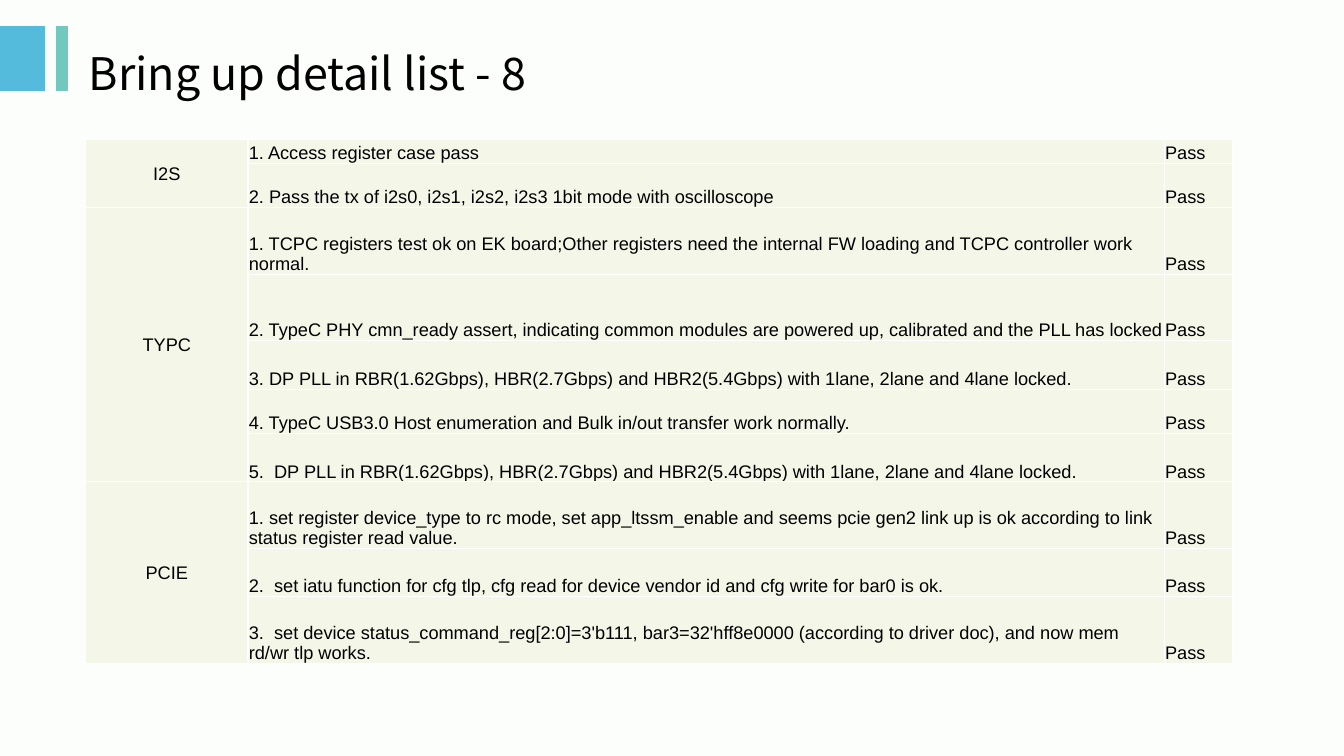
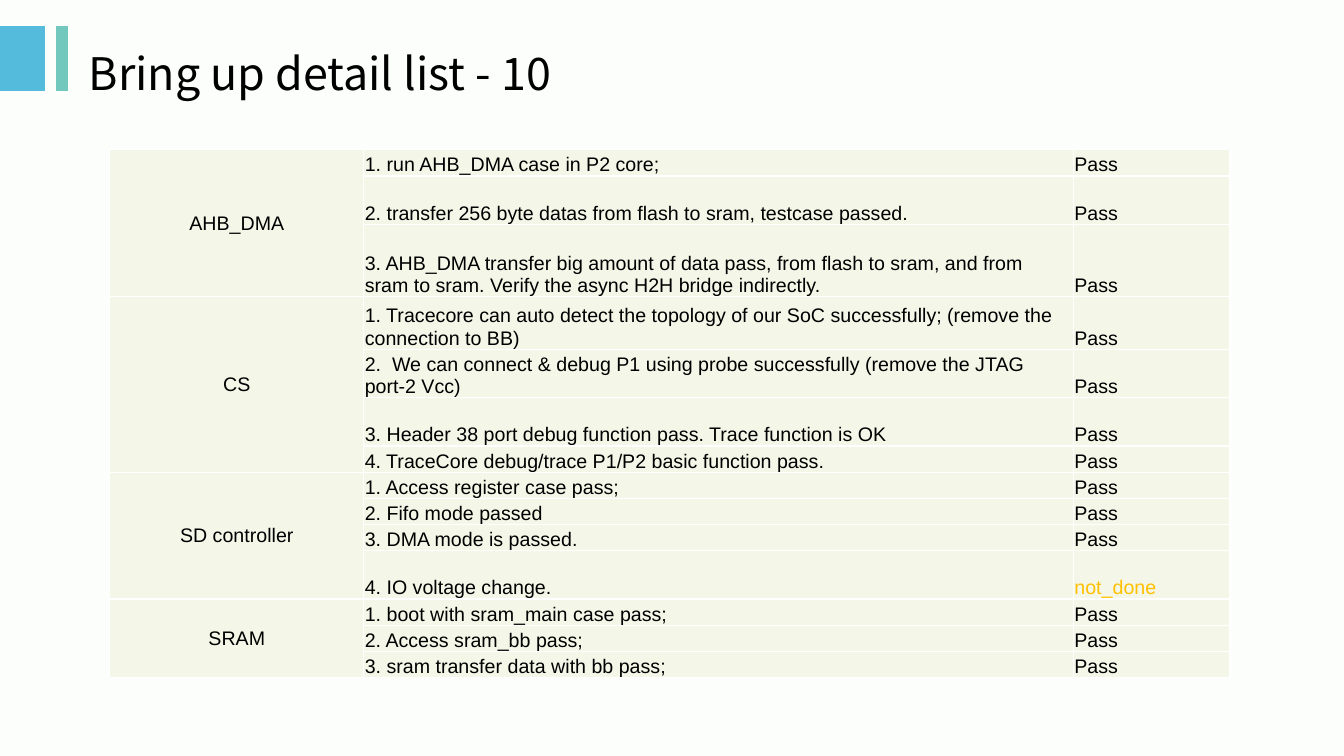
from lxml import etree
from pptx import Presentation
from pptx.dml.color import RGBColor
from pptx.enum.shapes import MSO_SHAPE
from pptx.enum.text import MSO_ANCHOR, PP_ALIGN
from pptx.oxml.ns import qn
from pptx.util import Pt

RECTANGLE = MSO_SHAPE.RECTANGLE
MIDDLE, BOTTOM = MSO_ANCHOR.MIDDLE, MSO_ANCHOR.BOTTOM
LEFT, CENTER = PP_ALIGN.LEFT, PP_ALIGN.CENTER
BLANK_LAYOUT = 6

COLORS = {
    "background": "FCFEFC",
    "blue": "54BBDC",
    "teal": "73C8BE",
    "cell": "F4F7E8",
    "border": "FFFFFF",
    "text": "000000",
    "open": "FFC000",
}
TITLE_FONT, BODY_FONT = "Noto Sans CJK SC", "Arial"
TITLE_BOX = (56.2, 18.7, 855.4, 66.2)
MARKERS = [("blue", (0, 18.7, 31.7, 46.1)), ("teal", (40.3, 18.7, 7.9, 46.1))]
PASS, NOT_DONE = "Pass", "not_done"
STATUS_COLORS = {PASS: "text", NOT_DONE: "open"}

PAGES = [
    {
        "title": "Bring up detail list - 8",
        "origin": (61.2, 99.4),
        "columns": (115.9, 654.5, 49),
        "size": 13,
        "groups": [
            ("I2S", [
                (17.3, "1. Access register case pass", PASS),
                (31.7, "2. Pass the tx of i2s0, i2s1, i2s2, i2s3 1bit mode with oscilloscope", PASS),
            ]),
            ("TYPC", [
                (47.5, "1. TCPC registers test ok on EK board;Other registers need the internal "
                       "FW loading and TCPC controller work normal.", PASS),
                (47.5, "2. TypeC PHY cmn_ready assert, indicating common modules are powered up, "
                       "calibrated and the PLL has locked", PASS),
                (34.6, "3. DP PLL in RBR(1.62Gbps), HBR(2.7Gbps) and HBR2(5.4Gbps) with 1lane, "
                       "2lane and 4lane locked.", PASS),
                (31.7, "4. TypeC USB3.0 Host enumeration and Bulk in/out transfer work normally.", PASS),
                (34.6, "5.  DP PLL in RBR(1.62Gbps), HBR(2.7Gbps) and HBR2(5.4Gbps) with 1lane, "
                       "2lane and 4lane locked.", PASS),
            ]),
            ("PCIE", [
                (47.5, "1. set register device_type to rc mode, set app_ltssm_enable and seems pcie "
                       "gen2 link up is ok according to link status register read value.", PASS),
                (34.6, "2.  set iatu function for cfg tlp, cfg read for device vendor id and "
                       "cfg write for bar0 is ok.", PASS),
                (47.5, "3.  set device status_command_reg[2:0]=3'b111, bar3=32'hff8e0000 "
                       "(according to driver doc), and now mem rd/wr tlp works.", PASS),
            ]),
        ],
    },
    {
        "title": "Bring up detail list - 10",
        "origin": (78.5, 107),
        "columns": (181.4, 506.9, 111.6),
        "size": 14,
        "groups": [
            ("AHB_DMA", [
                (18.7, "1. run AHB_DMA case in P2 core;", PASS),
                (34.6, "2. transfer 256 byte datas from flash to sram, testcase passed.", PASS),
                (51.8, "3. AHB_DMA transfer big amount of data pass, from flash to sram, and from "
                       "sram to sram. Verify the async H2H bridge indirectly.", PASS),
            ]),
            ("CS", [
                (37.4, "1. Tracecore can auto detect the topology of our SoC successfully; "
                       "(remove the connection to BB)", PASS),
                (34.6, "2.  We can connect & debug P1 using probe successfully "
                       "(remove the JTAG port-2 Vcc)", PASS),
                (34.6, "3. Header 38 port debug function pass. Trace function is OK", PASS),
                (18.7, "4. TraceCore debug/trace P1/P2 basic function pass.", PASS),
            ]),
            ("SD controller", [
                (18.7, "1. Access register case pass;", PASS),
                (18.7, "2. Fifo mode passed", PASS),
                (18.7, "3. DMA mode is passed.", PASS),
                (34.6, "4. IO voltage change.", NOT_DONE),
            ]),
            ("SRAM", [
                (18.7, "1. boot with sram_main case pass;", PASS),
                (18.7, "2. Access sram_bb pass;", PASS),
                (18.7, "3. sram transfer data with bb pass;", PASS),
            ]),
        ],
    },
]


def rgb(name):
    """Return the named colour."""
    return RGBColor.from_string(COLORS[name])


def points(values):
    """Convert numbers to lengths in points."""
    return [Pt(value) for value in values]


def style_font(para, font_name, size, color):
    """Set the font of a whole paragraph."""
    para.font.name = font_name
    para.font.size = Pt(size)
    para.font.color.rgb = rgb(color)


def add_header(page, title):
    """Draw the two colour markers and the title."""
    for color, box in MARKERS:
        marker = page.shapes.add_shape(RECTANGLE, *points(box))
        marker.shadow.inherit = False
        marker.fill.solid()
        marker.fill.fore_color.rgb = rgb(color)
        marker.line.color.rgb = rgb(color)
        marker.line.width = Pt(0.75)
    frame = page.shapes.add_textbox(*points(TITLE_BOX)).text_frame
    frame.word_wrap = True
    frame.vertical_anchor = MIDDLE
    para = frame.paragraphs[0]
    para.text = title
    style_font(para, TITLE_FONT, 32, "text")


def add_borders(cell):
    """Give a cell a thin line on all four sides."""
    properties = cell._tc.get_or_add_tcPr()
    for side in ("lnL", "lnR", "lnT", "lnB"):
        line = etree.SubElement(properties, qn(f"a:{side}"), w=str(Pt(1)))
        fill = etree.SubElement(line, qn("a:solidFill"))
        etree.SubElement(fill, qn("a:srgbClr"), val=COLORS["border"])


def fill_cell(cell, text, size, color="text", anchor=BOTTOM, align=LEFT):
    """Write and style one table cell."""
    cell.margin_left = cell.margin_right = cell.margin_top = Pt(0.7)
    cell.margin_bottom = 0
    cell.vertical_anchor = anchor
    add_borders(cell)
    cell.fill.solid()
    cell.fill.fore_color.rgb = rgb("cell")
    para = cell.text_frame.paragraphs[0]
    para.text = text
    para.alignment = align
    style_font(para, BODY_FONT, size, color)


def add_checklist(page, origin, columns, size, groups):
    """Draw the table of test items, grouped by module."""
    heights = [item[0] for _, items in groups for item in items]
    box = (*origin, sum(columns), sum(heights))
    table = page.shapes.add_table(len(heights), len(columns), *points(box)).table
    table.first_row = table.horz_banding = False
    for column, width in zip(table.columns, columns):
        column.width = Pt(width)
    row = 0
    for module, items in groups:
        first = row
        for height, text, status in items:
            table.rows[row].height = Pt(height)
            label = module if row == first else ""
            fill_cell(table.cell(row, 0), label, size, anchor=MIDDLE, align=CENTER)
            fill_cell(table.cell(row, 1), text, size)
            fill_cell(table.cell(row, 2), status, size, STATUS_COLORS[status])
            row += 1
        table.cell(first, 0).merge(table.cell(row - 1, 0))


def main():
    """Build the deck."""
    deck = Presentation()
    deck.slide_width, deck.slide_height = Pt(960), Pt(540)
    background = deck.slide_master.background.fill
    background.solid()
    background.fore_color.rgb = rgb("background")
    for content in PAGES:
        page = deck.slides.add_slide(deck.slide_layouts[BLANK_LAYOUT])
        add_header(page, content["title"])
        add_checklist(page, content["origin"], content["columns"],
                      content["size"], content["groups"])
    deck.save("out.pptx")


if __name__ == "__main__":
    main()
